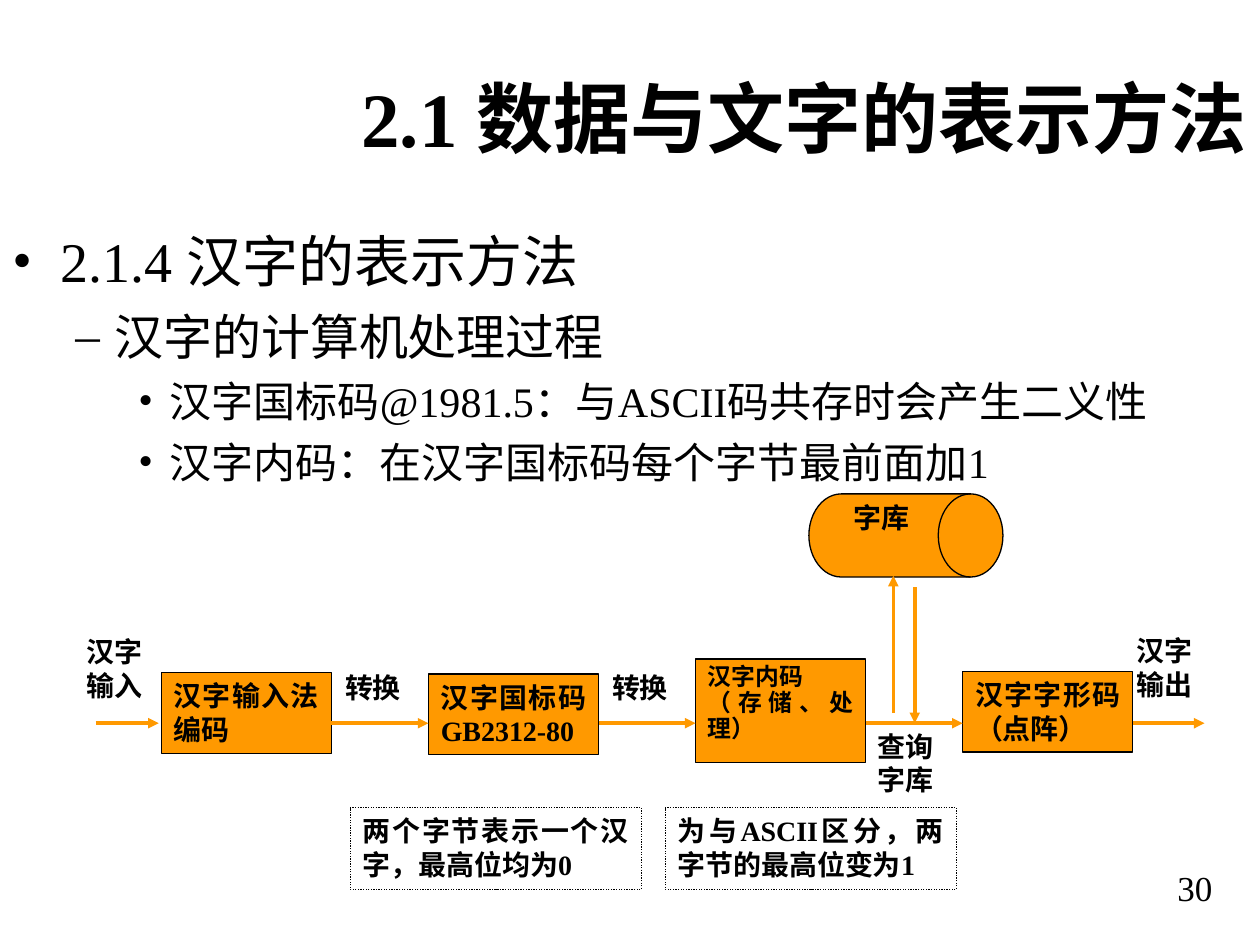
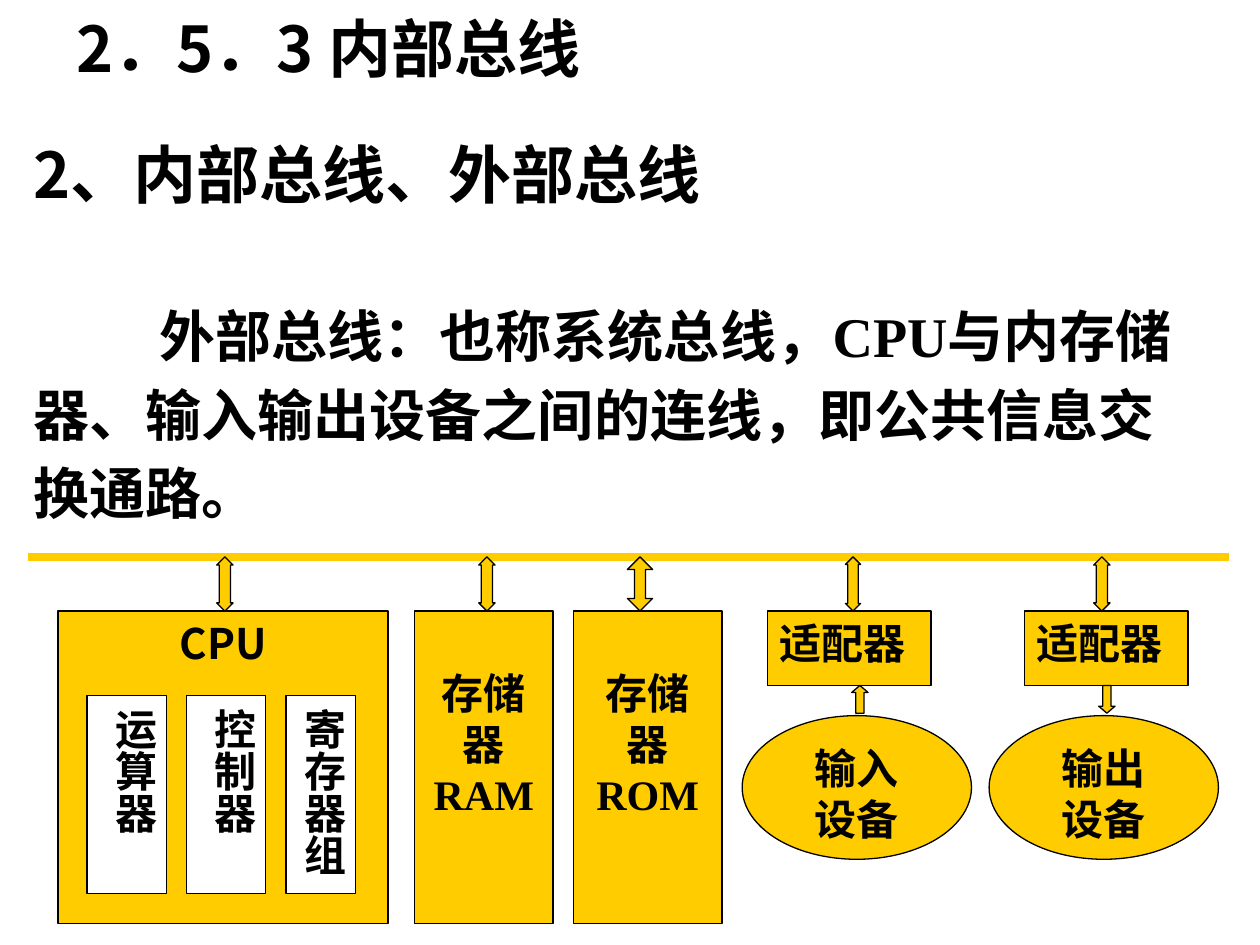
from lxml.etree import SubElement
from pptx import Presentation
from pptx.dml.color import RGBColor
from pptx.enum.dml import MSO_LINE
from pptx.enum.shapes import MSO_CONNECTOR, MSO_SHAPE as SHAPE
from pptx.enum.text import MSO_ANCHOR as ANCHOR, PP_ALIGN as ALIGN
from pptx.oxml.ns import qn
from pptx.util import Inches, Pt

COLORS = {"ink": "000000", "paper": "FFFFFF", "orange": "FF9900", "gold": "FFCC00"}
SERIF, SANS = "Times New Roman", "Noto Sans CJK SC"

# Slide 1: how a Chinese character is processed
CODE_TITLE = "2.1 数据与文字的表示方法"
PAGE_NUMBER = "30"
# text, level
OUTLINE = [
    ("2.1.4 汉字的表示方法", 0),
    ("汉字的计算机处理过程", 1),
    ("汉字国标码@1981.5：与ASCII码共存时会产生二义性", 2),
    ("汉字内码：在汉字国标码每个字节最前面加1", 2),
]
# size, bullet, left indent, hanging indent, space before
LEVELS = [(32, "•", 0.38, 0.38, 8), (28, "–", 0.81, 0.31, 7), (24, "•", 1.25, 0.25, 6)]
# lines, top, height, size, line spacing
CODE_STAGES = [
    (["汉字输入法编码"], 5.34, 0.64, 16, None),
    (["汉字国标码GB2312-80"], 5.35, 0.64, 16, None),
    (["汉字内码", "（存储、处理）"], 5.23, 0.82, 13.6, 0.9),
    (["汉字字形码（点阵）"], 5.33, 0.64, 16, None),
]
STAGE_X, STAGE_STEP, STAGE_W, FLOW_Y = 1.28, 2.12, 1.35, 5.74
# lines, left, top, width, height
FLOW_LABELS = [
    (["汉字", "输入"], 0.59, 4.99, 0.77, 1.51),
    (["转换"], 2.64, 5.27, 0.96, 0.91),
    (["转换"], 4.76, 5.27, 0.96, 0.91),
    (["查询", "字库"], 6.87, 5.74, 0.96, 0.83),
    (["汉字", "输出"], 8.92, 4.98, 0.77, 1.51),
]
NOTES = [("两个字节表示一个汉字，最高位均为0", 2.78), ("为与ASCII区分，两字节的最高位变为1", 5.28)]
FONT_LIBRARY = "字库"
INPUT_ARROW = (0.76, FLOW_Y, 1.26, FLOW_Y)
OUTPUT_ARROW = (8.99, FLOW_Y, 9.56, FLOW_Y)
LOOKUP_ARROWS = [(7.09, 5.66, 7.09, 4.57), (7.26, 4.66, 7.26, FLOW_Y)]

# Slide 2: the system bus
BUS_TITLE = [("2．5．3\t", SANS), ("内部总线", SERIF)]
BUS_HEADING = [("2、内部", SANS), ("总线、外部总线", SERIF)]
BUS_TEXT = "外部总线：也称系统总线，CPU与内存储器、输入输出设备之间的连线，即公共信息交换通路。"
# text, left, width, alignment
CPU_PARTS = [
    ("运算器", 0.69, 0.63, ALIGN.JUSTIFY),
    ("控制器", 1.48, 0.63, ALIGN.JUSTIFY),
    ("寄存器组", 2.27, 0.55, ALIGN.CENTER),
]
MEMORIES = [("RAM", 3.29, 1.1), ("ROM", 4.55, 1.18)]
# name, adapter left, ellipse left, arrow shape, arrow left
DEVICES = [
    ("输入", 6.09, 5.89, SHAPE.UP_ARROW, 6.76),
    ("输出", 8.13, 7.85, SHAPE.DOWN_ARROW, 8.72),
]
# left, width, head length
BUS_ARROWS = [(1.72, 0.13, 0.69), (3.8, 0.13, 0.69), (4.98, 0.2, 0.44),
              (6.71, 0.12, 0.69), (8.68, 0.13, 0.69)]
BUS_Y, UNIT_Y = 4.42, 4.85


def rgb(name):
    return RGBColor.from_string(COLORS[name])


def style_run(r, size, bold, font=SERIF):
    r.font.size, r.font.bold, r.font.name = Pt(size), bold, font
    r.font.color.rgb = rgb("ink")
    SubElement(r.font._element, qn("a:ea")).set("typeface", SANS)


def write(sp, lines, size=16, align=ALIGN.JUSTIFY, bold=True, spacing=None, anchor=ANCHOR.TOP):
    """Fill a shape; a line is a string or a list of (text, font) runs."""
    tf = sp.text_frame
    tf.word_wrap, tf.vertical_anchor = True, anchor
    for i, line in enumerate(lines):
        p = tf.paragraphs[0] if i == 0 else tf.add_paragraph()
        p.alignment = align
        if spacing:
            p.line_spacing = spacing
        for text, font in [(line, SERIF)] if isinstance(line, str) else line:
            r = p.add_run()
            r.text = text
            style_run(r, size, bold, font)
    return tf


def text_box(s, box, lines, *args, **kwargs):
    return write(s.shapes.add_textbox(*map(Inches, box)), lines, *args, **kwargs)


def block(s, kind, box, fill=None):
    sp = s.shapes.add_shape(kind, *map(Inches, box))
    sp.shadow.inherit = False
    if fill:
        sp.fill.solid()
        sp.fill.fore_color.rgb = rgb(fill)
    else:
        sp.fill.background()
    sp.line.color.rgb = rgb("ink")
    sp.line.width = Pt(0.75)
    return sp


def connect(s, ends, color, width, arrow=True):
    line = s.shapes.add_connector(MSO_CONNECTOR.STRAIGHT, *map(Inches, ends))
    line.line.color.rgb = rgb(color)
    line.line.width = Pt(width)
    if arrow:
        SubElement(line.line._get_or_add_ln(), qn("a:tailEnd")).set("type", "triangle")
    SubElement(line.element.spPr, qn("a:effectLst"))


def add_outline(s):
    tf = s.shapes.add_textbox(*map(Inches, (0, 1.75, 10, 4.95))).text_frame
    tf.word_wrap = True
    for i, (text, level) in enumerate(OUTLINE):
        size, bullet, left, hang, before = LEVELS[level]
        p = tf.paragraphs[0] if i == 0 else tf.add_paragraph()
        p.text, p.level, p.alignment = text, level, ALIGN.JUSTIFY
        pPr = p._p.get_or_add_pPr()
        pPr.set("marL", str(Inches(left)))
        pPr.set("indent", str(-Inches(hang)))
        color = SubElement(pPr, qn("a:buClr"))
        SubElement(color, qn("a:srgbClr")).set("val", COLORS["ink"])
        SubElement(pPr, qn("a:buFont")).set("typeface", SERIF)
        SubElement(pPr, qn("a:buChar")).set("char", bullet)
        if i:
            p.space_before = Pt(before)
        style_run(p.runs[0], size, False)


def build_code_slide(s):
    text_box(s, (0, 0.3, 10, 1.25), [CODE_TITLE], 44, ALIGN.RIGHT, anchor=ANCHOR.MIDDLE)
    add_outline(s)
    text_box(s, (7.39, 6.83, 2.33, 0.52), [PAGE_NUMBER], 20, ALIGN.RIGHT, bold=False)

    for i, (lines, top, height, size, spacing) in enumerate(CODE_STAGES):
        x = STAGE_X + i * STAGE_STEP
        sp = block(s, SHAPE.RECTANGLE, (x, top, STAGE_W, height), "orange")
        write(sp, lines, size, spacing=spacing)
        if i:
            connect(s, (x - STAGE_STEP + STAGE_W, FLOW_Y, x, FLOW_Y), "orange", 2)
    for lines, *box in FLOW_LABELS:
        text_box(s, box, lines)
    drum = block(s, SHAPE.FLOWCHART_DIRECT_ACCESS_STORAGE, (6.42, 3.92, 1.54, 0.66), "orange")
    write(drum, [FONT_LIBRARY])
    for text, x in NOTES:
        note = block(s, SHAPE.RECTANGLE, (x, 6.41, 2.31, 0.65))
        note.line.dash_style = MSO_LINE.ROUND_DOT
        write(note, [text])
    for ends in [INPUT_ARROW, OUTPUT_ARROW, *LOOKUP_ARROWS]:
        connect(s, ends, "orange", 2)


def build_bus_slide(s):
    text_box(s, (0.51, 0.03, 5.2, 0.7), [BUS_TITLE], 36, ALIGN.LEFT).word_wrap = False
    tf = text_box(s, (0.17, 1, 9.33, 3.23), [BUS_HEADING, BUS_TEXT], 36, ALIGN.LEFT,
                  spacing=Pt(45))
    body = tf.paragraphs[1]
    body.space_before = Pt(45)
    body._p.get_or_add_pPr().set("indent", str(Inches(1)))
    body.runs[0].font.size = Pt(32)

    connect(s, (0.22, BUS_Y, 9.75, BUS_Y), "gold", 5, arrow=False)
    cpu = block(s, SHAPE.RECTANGLE, (0.46, UNIT_Y, 2.62, 2.48), "gold")
    write(cpu, [[("CPU", SANS)]], 24, ALIGN.CENTER)
    for text, x, width, align in CPU_PARTS:
        sp = block(s, SHAPE.RECTANGLE, (x, 5.52, width, 1.57), "paper")
        tf = write(sp, [text], 24, align)
        tf.margin_left = tf.margin_right = Inches(0.05)
        tf.margin_top = tf.margin_bottom = Inches(0.1)
        sp.element.txBody.bodyPr.set("vert", "eaVert")
    for name, x, width in MEMORIES:
        sp = block(s, SHAPE.RECTANGLE, (x, UNIT_Y, width, 2.48), "gold")
        write(sp, ["存储器", name], 24, ALIGN.CENTER).margin_top = Inches(0.45)
    for x, width, head in BUS_ARROWS:
        arrow = block(s, SHAPE.UP_DOWN_ARROW, (x, BUS_Y, width, UNIT_Y - BUS_Y), "gold")
        arrow.adjustments[1] = head
    for name, adapter_x, device_x, kind, arrow_x in DEVICES:
        write(block(s, SHAPE.RECTANGLE, (adapter_x, UNIT_Y, 1.3, 0.59), "gold"), ["适配器"], 24)
        device = block(s, SHAPE.OVAL, (device_x, 5.68, 1.82, 1.14), "gold")
        write(device, [name, "设备"], 24, ALIGN.CENTER)
        block(s, kind, (arrow_x, 5.44, 0.13, 0.22), "gold").adjustments[1] = 0.43


def main():
    prs = Presentation()
    prs.slide_width, prs.slide_height = Inches(10), Inches(7.5)
    for build in (build_code_slide, build_bus_slide):
        build(prs.slides.add_slide(prs.slide_layouts[6]))
    prs.save("out.pptx")


if __name__ == "__main__":
    main()
